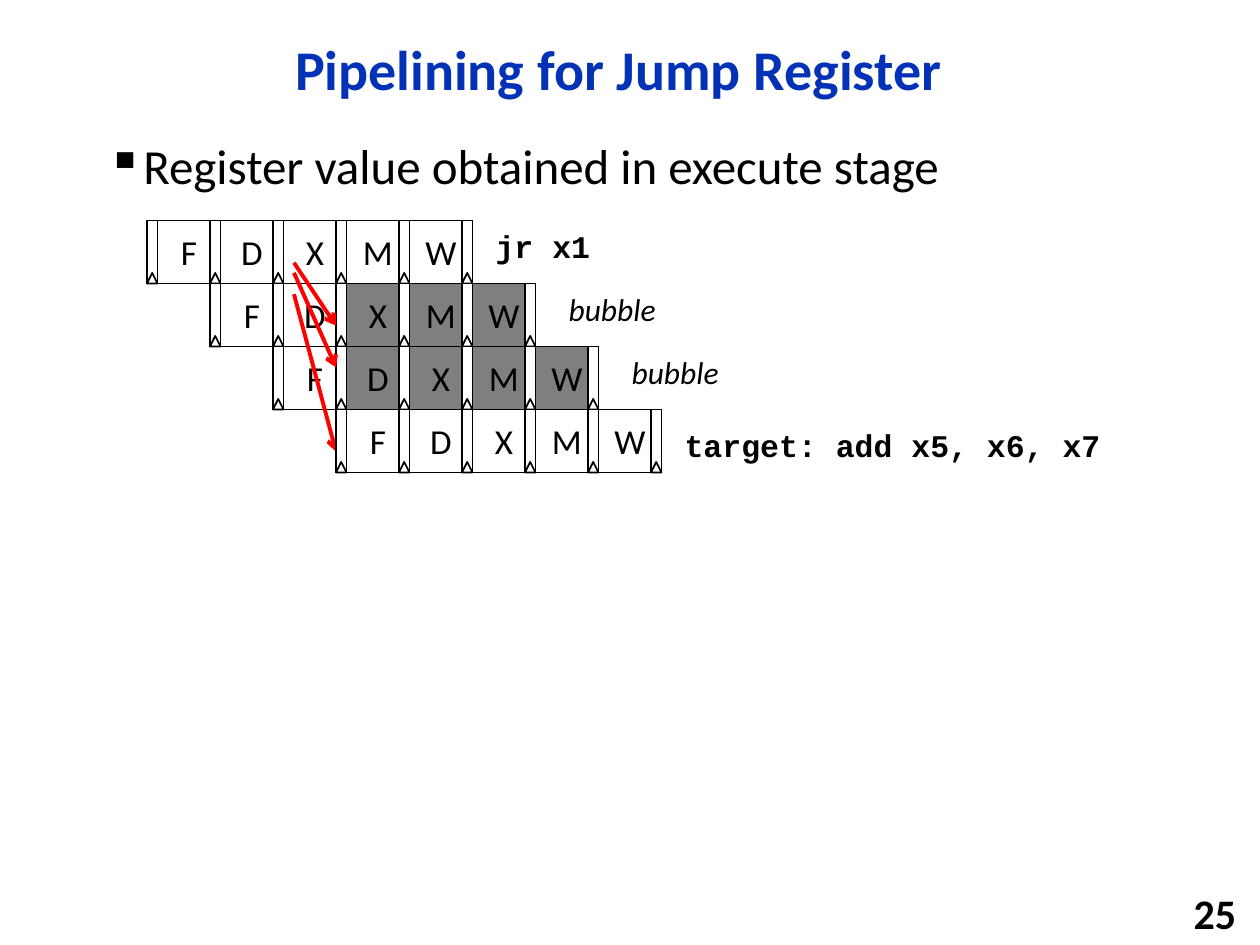
from dataclasses import dataclass

from lxml.etree import SubElement
from pptx import Presentation
from pptx.dml.color import RGBColor
from pptx.enum.shapes import MSO_CONNECTOR as Connector, MSO_SHAPE as Shape
from pptx.enum.text import MSO_ANCHOR as Anchor, MSO_AUTO_SIZE as AutoSize, PP_ALIGN as Align
from pptx.oxml.ns import qn
from pptx.slide import Slide
from pptx.util import Inches, Pt


def color(hex_string):
    return RGBColor.from_string(hex_string)


@dataclass
class PipelineSlide:
    """Style and current slide; lengths are in grid units of half an inch."""
    slide: Slide
    unit: float = 0.5
    register_width: float = 1 / 6
    font: str = "Calibri"
    code_font: str = "Courier New"
    ink: str = "000000"
    paper: str = "FFFFFF"
    bubble: str = "7F7F7F"
    accent: str = "0332B7"
    arrow_color: str = "FF0000"

    def grid(self, *values):
        return [Inches(value * self.unit) for value in values]

    def style(self, paragraph, size, font=None, ink=None, bold=False, italic=False):
        paragraph.font.name = font or self.font
        paragraph.font.size = Pt(size)
        paragraph.font.color.rgb = color(ink or self.ink)
        paragraph.font.bold = bold
        paragraph.font.italic = italic

    def text(self, text, column, row, width, height, size, align=Align.LEFT,
             anchor=Anchor.TOP, fit=False, **look):
        box = self.slide.shapes.add_textbox(*self.grid(column, row, width, height))
        frame = box.text_frame
        frame.word_wrap = not fit
        frame.auto_size = AutoSize.SHAPE_TO_FIT_TEXT if fit else AutoSize.NONE
        frame.vertical_anchor = anchor
        paragraph = frame.paragraphs[0]
        paragraph.text = text
        paragraph.alignment = align
        self.style(paragraph, size, **look)
        return paragraph

    def bullet(self, text, *box, size):
        paragraph = self.text(text, *box, size)
        paragraph.line_spacing = 0.9
        properties = paragraph._p.get_or_add_pPr()
        properties.set("marL", str(Inches(0.25)))
        properties.set("indent", str(-Inches(0.25)))
        mark = properties.makeelement(qn("a:buChar"), {"char": "▪"})
        properties.insert_element_before(mark, "a:tabLst", "a:defRPr", "a:extLst")

    def block(self, kind, column, row, width, height, fill=None):
        shape = self.slide.shapes.add_shape(kind, *self.grid(column, row, width, height))
        shape.shadow.inherit = False
        shape.fill.solid()
        shape.fill.fore_color.rgb = color(fill or self.paper)
        shape.line.color.rgb = color(self.ink)
        shape.line.width = Pt(1)
        return shape

    def stage(self, letter, column, row, fill):
        frame = self.block(Shape.RECTANGLE, column, row, 1, 1, fill).text_frame
        frame.margin_left = frame.margin_right = frame.margin_top = frame.margin_bottom = 0
        frame.vertical_anchor = Anchor.MIDDLE
        paragraph = frame.paragraphs[0]
        paragraph.text = letter
        paragraph.alignment = Align.CENTER
        self.style(paragraph, 20)

    def register(self, edge, row):
        """A clocked register standing just left of a stage boundary."""
        width = self.register_width
        bar = self.block(Shape.RECTANGLE, edge - width / 2 - 0.5, row + 0.5 - width / 2,
                         1, width)
        bar.rotation = 270
        self.block(Shape.ISOSCELES_TRIANGLE, edge - width, row + 1 - width, width, width)

    def instruction(self, column, row, squash_from=None):
        """Five stages; those at or right of squash_from become a bubble."""
        self.register(column, row)
        for place, letter in enumerate("FDXMW", start=column_index(column)):
            left = place + COLUMN
            squashed = squash_from is not None and left >= squash_from
            self.stage(letter, left, row, self.bubble if squashed else self.paper)
            self.register(left + 1, row)

    def arrow(self, *ends):
        line = self.slide.shapes.add_connector(Connector.STRAIGHT, *self.grid(*ends))
        line.line.color.rgb = color(self.arrow_color)
        line.line.width = Pt(2.25)
        SubElement(line.line._get_or_add_ln(), qn("a:tailEnd"), type="arrow")
        SubElement(line._element.spPr, qn("a:effectLst"))


# Top left corner of the pipeline diagram, in grid units
COLUMN, ROW = 2.5, 3.5


def column_index(column):
    return int(column - COLUMN)


def main():
    presentation = Presentation()
    presentation.slide_width, presentation.slide_height = Inches(10), Inches(7.5)
    page = PipelineSlide(presentation.slides.add_slide(presentation.slide_layouts[6]))

    # Heading, bullet and page number
    title = page.text("Pipelining for Jump Register", 1.84, 0.34, 15.96, 1.62, 32,
                      Align.CENTER, Anchor.MIDDLE, ink=page.accent, bold=True)
    title.line_spacing = 0.9
    page.bullet("Register value obtained in execute stage", 1.5, 2.16, 16.8, 11.06, size=28)
    page.text("25", 15.66, 14.16, 4.16, 0.64, 24, Align.RIGHT, Anchor.MIDDLE, bold=True)

    # The jump and the two squashed instructions, each one cycle later
    squash_from = COLUMN + 3
    for step, squash in enumerate((None, squash_from, squash_from)):
        page.instruction(COLUMN + step, ROW + step, squash)

    # From the execute stage to the instructions it affects
    start, end = COLUMN + 2 + 1 / 6, squash_from - page.register_width
    for start_row, end_row in ((4.33, 5.83), (4.17, 5.17), (4.67, 7.17)):
        page.arrow(start, start_row, end, end_row)

    # The jump target
    page.instruction(squash_from, ROW + 3)

    # Labels right of each instruction
    code = dict(font=page.code_font, bold=True)
    for text, column, row, width, look in (
        ("jr x1", 7.67, ROW, 1.92, code),
        ("bubble", 8.83, ROW + 1, 1.92, dict(italic=True)),
        ("bubble", 9.83, ROW + 2, 1.92, dict(italic=True)),
        ("target: add x5, x6, x7", 10.67, ROW + 3.17, 7.06, code),
    ):
        page.text(text, column, row, width, 0.8, 18, fit=True, **look)

    presentation.save("out.pptx")


if __name__ == "__main__":
    main()
